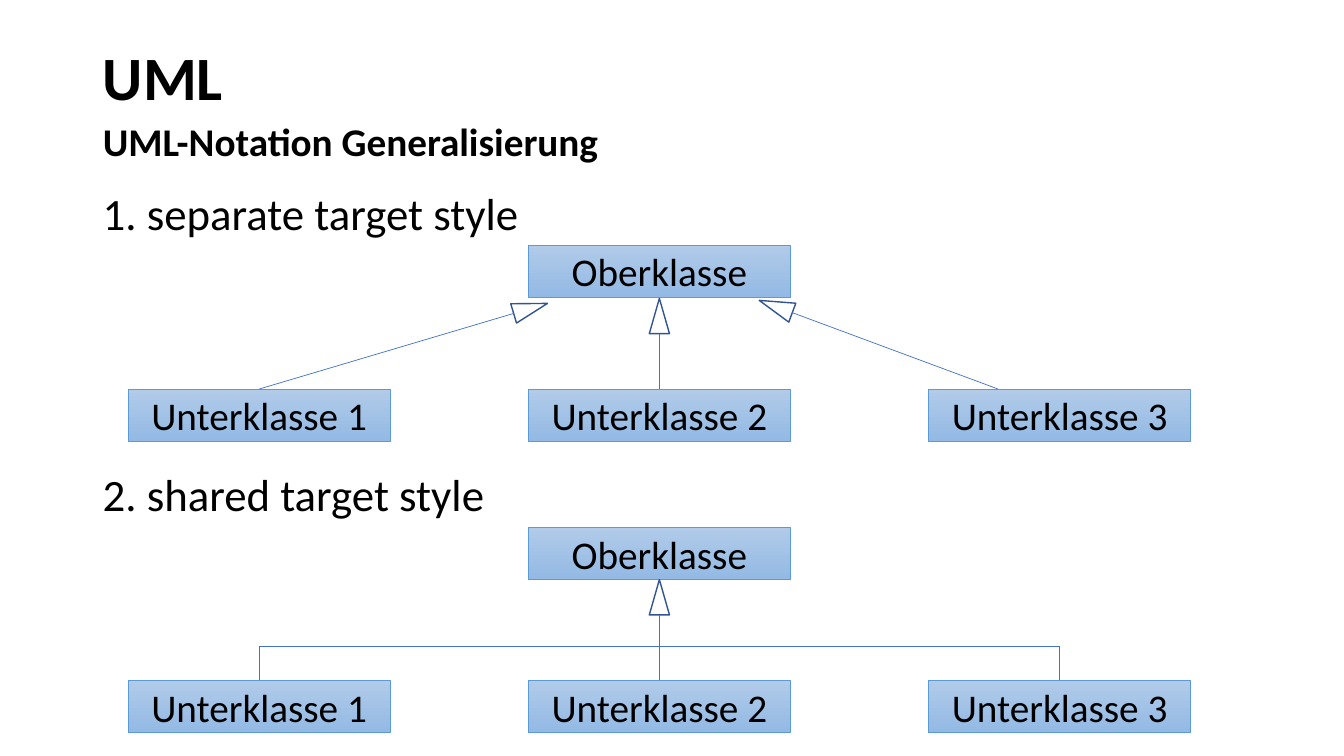
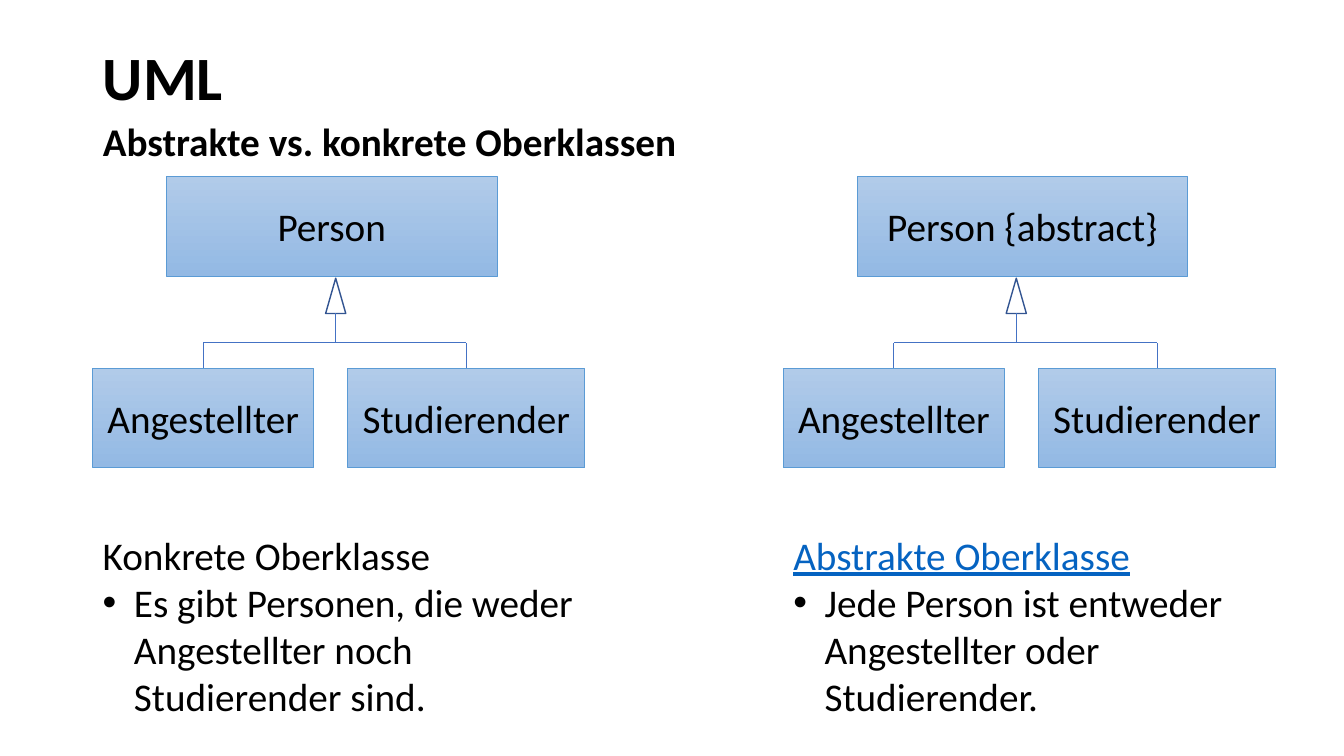
from math import atan2, degrees, hypot

from lxml.etree import SubElement
from pptx import Presentation
from pptx.dml.color import RGBColor
from pptx.enum.shapes import MSO_CONNECTOR as Connector, MSO_SHAPE as Shape
from pptx.enum.text import MSO_ANCHOR as Anchor, MSO_AUTO_SIZE as AutoSize, PP_ALIGN as Align
from pptx.oxml.ns import qn
from pptx.util import Emu, Pt

PX = 9144
FONT = "Calibri"
BLACK = RGBColor(0x00, 0x00, 0x00)
LINK_BLUE = RGBColor(0x05, 0x63, 0xC1)
BOX_TOP = RGBColor(0xB1, 0xCB, 0xE9)
BOX_BOTTOM = RGBColor(0x93, 0xB9, 0xE4)
BOX_EDGE = RGBColor(0x5B, 0x9B, 0xD5)
ARROW_EDGE = RGBColor(0x32, 0x54, 0x91)
LINE_BLUE = RGBColor(0x44, 0x72, 0xC4)
HEAD_WIDTH, HEAD_LENGTH = 20, 35


def px(*lengths):
    return [Emu(round(length * PX)) for length in lengths]


def style(para, size, color=BLACK, bold=False, underline=False):
    font = para.font
    font.name, font.size, font.bold, font.underline = FONT, Pt(size), bold, underline
    font.color.rgb = color


def fill_placeholder(holder, area, text, size, spacing, anchor):
    holder.left, holder.top, holder.width, holder.height = px(*area)
    frame = holder.text_frame
    frame.auto_size = AutoSize.NONE
    frame.vertical_anchor = anchor
    frame.text = text
    para = frame.paragraphs[0]
    para.alignment = Align.LEFT
    para.line_spacing = spacing
    para.space_before = Pt(0)
    properties = para._p.get_or_add_pPr()
    properties.set("marL", "0")
    properties.set("indent", "0")
    SubElement(properties, qn("a:buNone"))
    style(para, size, bold=True)


def add_page(deck, subtitle):
    page = deck.slides.add_slide(deck.slide_layouts[1])
    title, body = page.placeholders
    fill_placeholder(title, (92, 40, 1150, 80), "UML", 44, 0.9, Anchor.MIDDLE)
    fill_placeholder(body, (92, 120, 1150, 50), subtitle, 28, 0.8, Anchor.TOP)
    return page


def add_class(page, name, left, top, width, height):
    box = page.shapes.add_shape(Shape.RECTANGLE, *px(left, top, width, height))
    box.shadow.inherit = False
    box.fill.gradient()
    box.fill.gradient_angle = 270
    for stop, color in zip(box.fill.gradient_stops, (BOX_TOP, BOX_BOTTOM)):
        stop.color.rgb = color
    box.line.color.rgb = BOX_EDGE
    box.line.width = Pt(0.5)
    frame = box.text_frame
    frame.text = name
    frame.vertical_anchor = Anchor.MIDDLE
    frame.paragraphs[0].alignment = Align.CENTER
    style(frame.paragraphs[0], 28)
    return box


def add_line(page, start, end, child=None):
    line = page.shapes.add_connector(Connector.STRAIGHT, *px(*start, *end))
    line.line.color.rgb = LINE_BLUE
    line.line.width = Pt(0.5)
    SubElement(line._element.spPr, qn("a:effectLst"))
    if child is not None:
        line.begin_connect(child, 0)


def add_arrow(page, start, tip, child=None):
    run, rise = tip[0] - start[0], tip[1] - start[1]
    length = hypot(run, rise)
    across, down = run / length * HEAD_LENGTH, rise / length * HEAD_LENGTH
    center_x, center_y = tip[0] - across / 2, tip[1] - down / 2
    head = page.shapes.add_shape(
        Shape.ISOSCELES_TRIANGLE,
        *px(center_x - HEAD_WIDTH / 2, center_y - HEAD_LENGTH / 2, HEAD_WIDTH, HEAD_LENGTH))
    head.rotation = degrees(atan2(run, -rise))
    head.shadow.inherit = False
    head.fill.background()
    head.line.color.rgb = ARROW_EDGE
    head.line.width = Pt(1)
    add_line(page, start, (tip[0] - across, tip[1] - down), child)


def top_middle(box):
    return (box.left + box.width / 2) / PX, box.top / PX


def add_bus(page, first, last, level):
    ends = []
    for child in (first, last):
        middle, top = top_middle(child)
        add_line(page, (middle, top), (middle, level), child)
        ends.append((middle, level))
    add_line(page, *ends)


def add_text(page, area, texts, size, color=BLACK, underline=False):
    frame = page.shapes.add_textbox(*px(*area)).text_frame
    frame.word_wrap = True
    frame.text = "\n".join(texts)
    lead, *bullets = frame.paragraphs
    style(lead, size, color, underline=underline)
    for para in bullets:
        properties = para._p.get_or_add_pPr()
        indent, = px(31)
        properties.set("marL", str(indent))
        properties.set("indent", str(-indent))
        SubElement(properties, qn("a:buFont")).set("typeface", "Arial")
        SubElement(properties, qn("a:buChar")).set("char", "•")
        style(para, size)


def add_notation(page, label, top, parent_top, child_top):
    add_text(page, (92, top, 464, 64), [label], 32)
    add_class(page, "Oberklasse", 524, parent_top, 260, 52)
    return [add_class(page, f"Unterklasse {i + 1}", 127 + 397 * i, child_top, 260, 52)
            for i in range(3)]


def build_notation_page(deck):
    page = add_page(deck, "UML-Notation Generalisierung")
    left, middle, right = add_notation(page, "1. separate target style", 179, 243, 386)
    add_arrow(page, top_middle(left), (543, 301), left)
    add_arrow(page, top_middle(middle), (654, 296), middle)
    add_arrow(page, (990, 386), (753, 298))

    left, middle, right = add_notation(page, "2. shared target style", 458, 523, 675)
    add_arrow(page, top_middle(middle), (654, 575), middle)
    add_bus(page, left, right, 641)


def add_example(page, left, parent, arrow_offset, texts, **lead_style):
    add_class(page, parent, left + 73, 175, 328, 99)
    employee = add_class(page, "Angestellter", left, 365, 219, 99)
    student = add_class(page, "Studierender", left + 253, 365, 235, 99)
    add_bus(page, employee, student, 340)
    add_arrow(page, (left + arrow_offset, 340), (left + arrow_offset, 276))
    add_text(page, (left, 522, 488, 199), texts, 28, **lead_style)


def build_comparison_page(deck):
    page = add_page(deck, "Abstrakte vs. konkrete Oberklassen")
    add_example(page, 92, "Person", 241, [
        "Konkrete Oberklasse",
        "Es gibt Personen, die weder Angestellter noch Studierender sind."])
    add_example(page, 777, "Person {abstract}", 231, [
        "Abstrakte Oberklasse",
        "Jede Person ist entweder Angestellter oder Studierender."],
        color=LINK_BLUE, underline=True)


def main():
    deck = Presentation()
    deck.slide_width, deck.slide_height = px(1333, 750)
    build_notation_page(deck)
    build_comparison_page(deck)
    deck.save("out.pptx")


if __name__ == "__main__":
    main()
